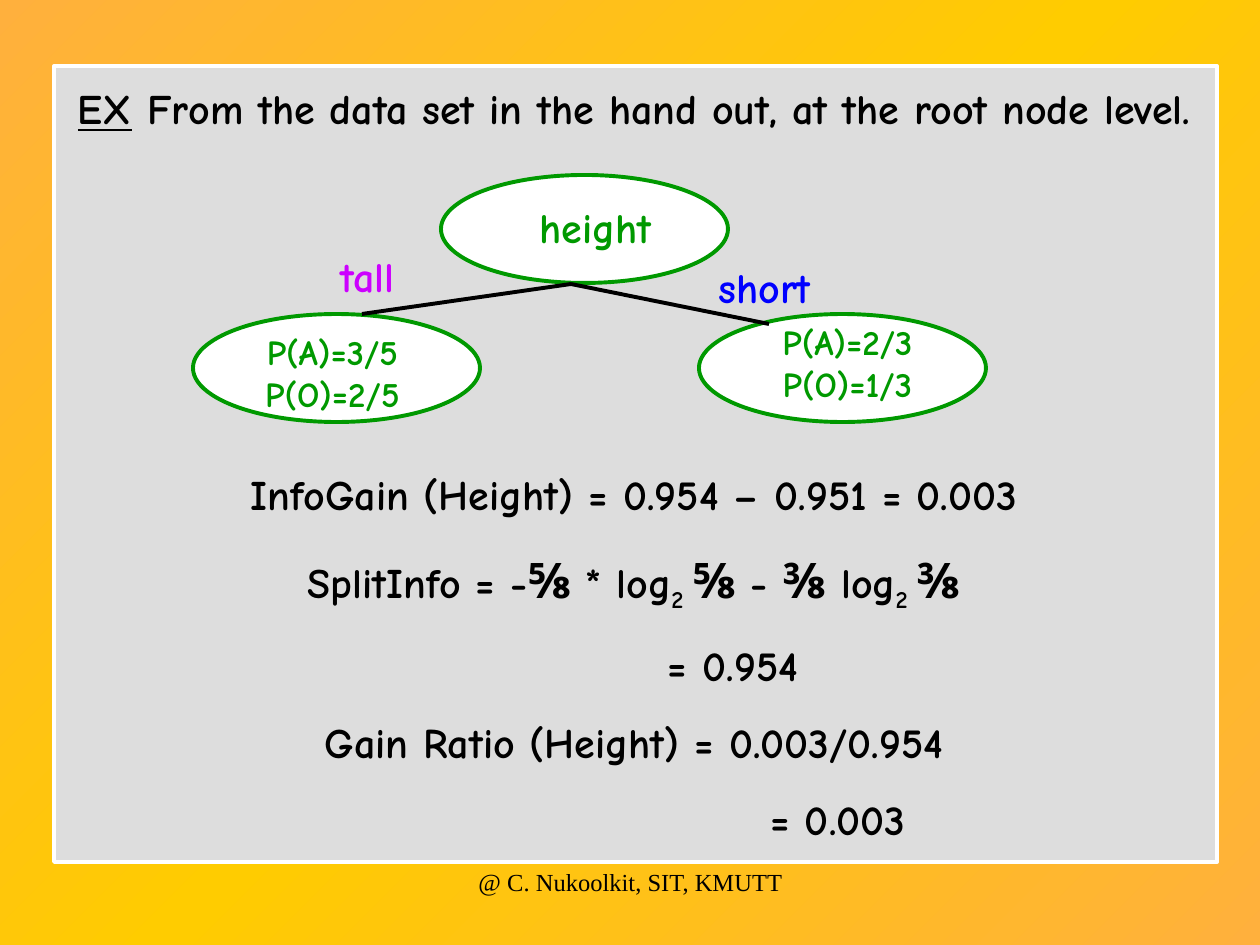
from copy import deepcopy

from lxml import etree
from pptx import Presentation
from pptx import util as u
from pptx.dml.color import RGBColor
from pptx.enum import shapes, text
from pptx.oxml.ns import qn

PX = 914400 / 126  # EMU per px
COLORS = {
    "amber": "FFB03D", "gold": "FFCC00", "panel": "DDDDDD", "white": "FFFFFF",
    "black": "000000", "green": "009900", "violet": "CC00FF", "blue": "0000FF",
}
FONT, FOOTER_FONT = "Comic Neue", "Times New Roman"

# Content
PANEL = (54, 66, 1163, 796)
TITLE_BOX = (54, 76, 1160, 63)
TITLE = ["EX", " From the data set in the hand out, at the root node level."]

NODE_SIZE = (287, 108)
NODES = [(441, 175), (193, 314), (699, 314)]
BRANCH_START = (571, 284)
BRANCH_ENDS = [(362, 314), (769, 324)]
LABELS = [  # text, box, size, colour
    ("height", (402, 195, 387, 63), 24, "green"),
    ("P(A)=3/5 P(O)=2/5", (233, 324, 199, 97), 20, "green"),
    ("P(A)=2/3 P(O)=1/3", (748, 314, 199, 97), 20, "green"),
    ("tall", (174, 244, 387, 63), 24, "violet"),
    ("short", (571, 255, 387, 63), 24, "blue"),
]

FORMULA_BOX = (54, 462, 1160, 388)
FORMULAS = [  # runs, space before in pt, left margin in px
    (["InfoGain (Height) = 0.954 – 0.951 = 0.003"], 0, 0),
    (["SplitInfo = -", "⅝", " * log", "2 ", "⅝", " - ", "⅜", " log", "2 ", "⅜"], 17.5, 0),
    (["= 0.954"], 15, 198),
    (["Gain Ratio (Height) = 0.003/0.954"], 15, 0),
    (["= 0.003"], 15, 408),
]
FRACTIONS, SUBSCRIPT = "⅝⅜", "2 "
FOOTER = ("@ C. Nukoolkit, SIT, KMUTT", (431, 861, 399, 63))


def emu(values):
    return [round(v * PX) for v in values]


def rgb(name):
    return RGBColor.from_string(COLORS[name])


def add_runs(p, runs, size=24, color="black", font=FONT, bold=True):
    p.alignment = text.PP_ALIGN.CENTER
    for content in runs:
        r = p.add_run()
        r.text = content
        r.font.name, r.font.size, r.font.bold = font, u.Pt(size), bold
        r.font.color.rgb = rgb(color)
    return p.runs


def add_text(s, box):
    tf = s.shapes.add_textbox(*emu(box)).text_frame
    tf.word_wrap = True
    return tf


def add_panel(s, kind, box, fill, line):
    sp = s.shapes.add_shape(kind, *emu(box))
    sp.shadow.inherit = False
    sp.fill.solid()
    sp.fill.fore_color.rgb = rgb(fill)
    sp.line.color.rgb = rgb(line)
    sp.line.width = u.Pt(2.25)
    return sp


def set_background(s):
    fill = s.background.fill
    fill.gradient()
    fill.gradient_angle = 135
    first, last = fill.gradient_stops
    first.color.rgb, first.position = rgb("amber"), 0
    last.color.rgb, last.position = rgb("gold"), 0.5
    stops = s.background._cSld.find(".//" + qn("a:gsLst"))
    end = deepcopy(stops[0])
    end.set("pos", "100000")
    stops.append(end)


def main():
    prs = Presentation()
    prs.slide_width, prs.slide_height = u.Inches(10), u.Inches(7.5)
    s = prs.slides.add_slide(prs.slide_layouts[5])
    set_background(s)

    # Panel, placed behind the title
    panel = add_panel(s, shapes.MSO_SHAPE.RECTANGLE, PANEL, "panel", "white")
    title = s.shapes.title
    title._element.addprevious(panel._element)

    # Title
    title.left, title.top, title.width, title.height = emu(TITLE_BOX)
    tf = title.text_frame
    tf.word_wrap = True
    tf.auto_size = text.MSO_AUTO_SIZE.NONE
    tf.vertical_anchor = text.MSO_ANCHOR.TOP
    add_runs(tf.paragraphs[0], TITLE)[0].font.underline = True

    # Decision tree
    for corner in NODES:
        add_panel(s, shapes.MSO_SHAPE.OVAL, corner + NODE_SIZE, "white", "green")
    for end in BRANCH_ENDS:
        branch = s.shapes.add_connector(
            shapes.MSO_CONNECTOR.STRAIGHT, *emu(BRANCH_START + end))
        branch.line.color.rgb = rgb("black")
        branch.line.width = u.Pt(2.25)
        etree.SubElement(branch._element.spPr, qn("a:effectLst"))
    for label, box, size, color in LABELS:
        add_runs(add_text(s, box).paragraphs[0], [label], size, color)

    # Formulas
    tf = add_text(s, FORMULA_BOX)
    for i, (runs, before, margin) in enumerate(FORMULAS):
        p = tf.add_paragraph() if i else tf.paragraphs[0]
        if before:
            p.space_before = u.Pt(before)
        if margin:
            p._p.get_or_add_pPr().set("marL", str(round(margin * PX)))
        for r in add_runs(p, runs):
            if r.text in FRACTIONS:
                r.font.size = u.Pt(28)
            elif r.text == SUBSCRIPT:
                r.font._element.set("baseline", "-25000")

    # Footer
    note, box = FOOTER
    add_runs(add_text(s, box).paragraphs[0], [note], 14, font=FOOTER_FONT, bold=False)

    prs.save("out.pptx")


if __name__ == "__main__":
    main()
